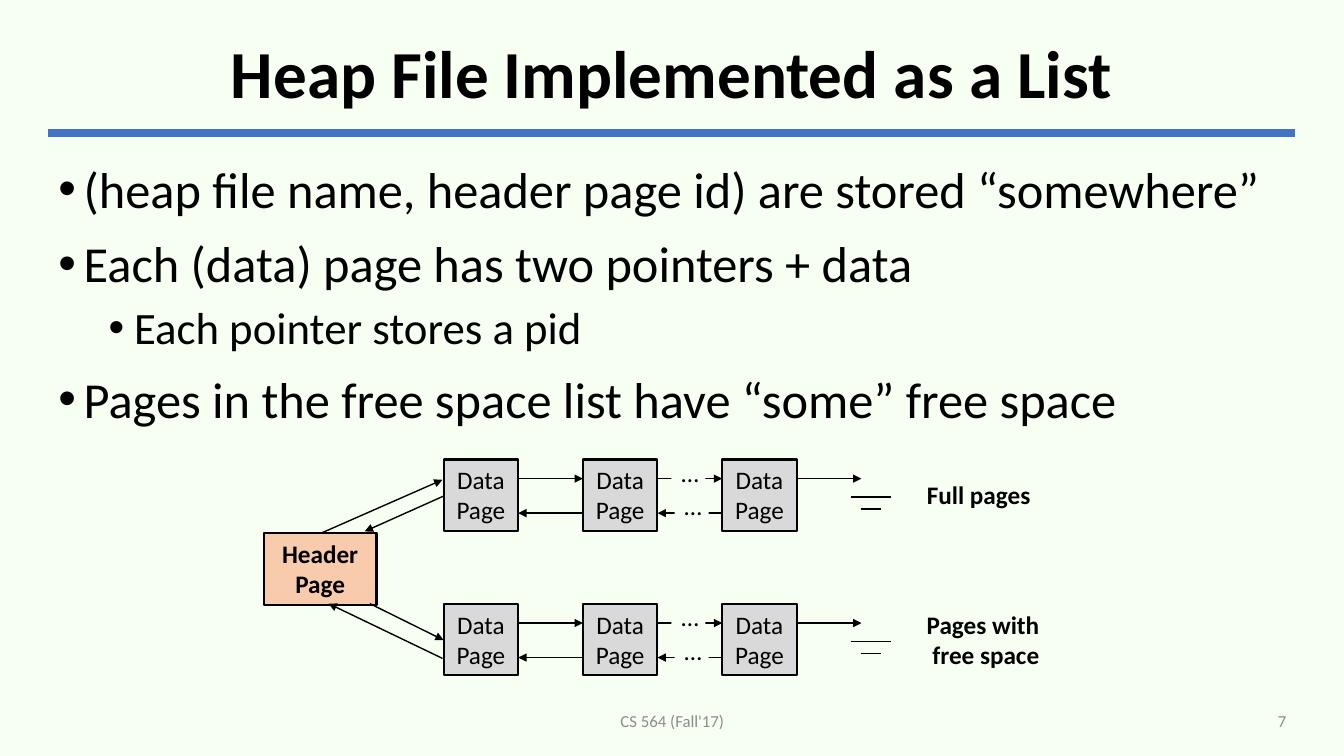
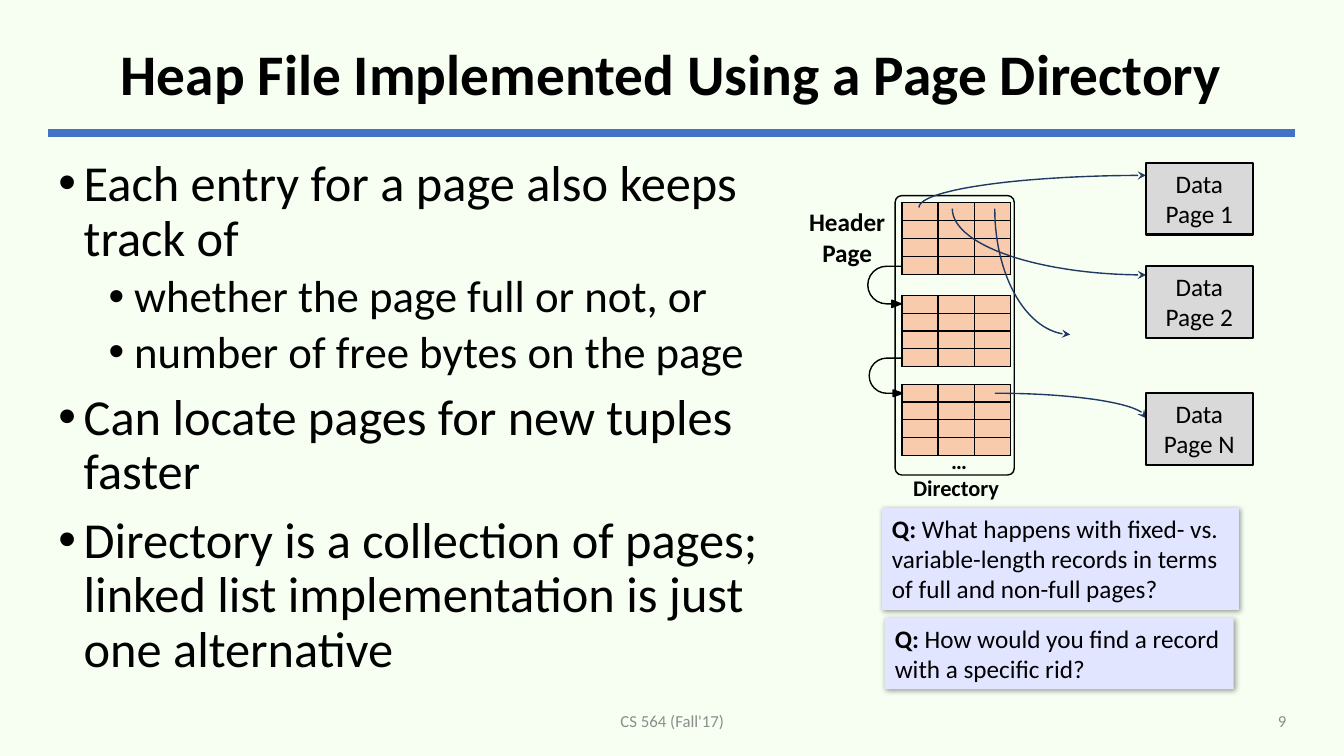
import math
from lxml import etree
from pptx import Presentation
from pptx import util as u
from pptx.dml import color
from pptx.enum import shapes, text
from pptx.oxml import ns

BLACK, PEACH, GRAY, LILAC = "000000", "F8CBAD", "D9D9D9", "E2E5FF"
PAPER, BLUE, NAVY, MUTED = "F7FFF3", "4472C4", "203864", "8C8C8C"
FONT = "Calibri"
KIND, ALIGN, ANCHOR = shapes.MSO_SHAPE, text.PP_ALIGN, text.MSO_ANCHOR
LEFT, MID, RIGHT = ALIGN.LEFT, ALIGN.CENTER, ALIGN.RIGHT
PAGE_W, PAGE_H = 1.88, 1.8


def rgb(code):
    """Turn a hex string into a colour."""
    return color.RGBColor.from_string(code)


def put(item, **vals):
    """Set each named value on an item."""
    for name, val in vals.items():
        setattr(item, name, val)


def sub(node, tag, **vals):
    """Append a drawing element to a node."""
    return etree.SubElement(node, ns.qn("a:" + tag), **vals)


def paint(shape, fill=None, line=None, width=1):
    """Give a shape its fill and outline, without a shadow."""
    shape.shadow.inherit = False
    for part, code in ((shape.fill, fill), (shape.line.fill, line)):
        if code:
            part.solid()
            part.fore_color.rgb = rgb(code)
        else:
            part.background()
    if line:
        shape.line.width = u.Pt(width)


def write(para, words, size=18, bold=False, ink=BLACK):
    """Add one run of styled words to a paragraph."""
    run = para.add_run()
    run.text = words
    put(run.font, name=FONT, size=u.Pt(size), bold=bold)
    run.font.color.rgb = rgb(ink)


def box(slide, area, lines=(), kind=None, fill=None, line=None, width=1.5,
        align=MID, anchor=ANCHOR.TOP, wrap=True, lead="", **style):
    """Place a text box or preset shape holding lines of text."""
    spot = [u.Cm(v) for v in area]
    if kind:
        shape = slide.shapes.add_shape(kind, *spot)
        paint(shape, fill, line, width)
    else:
        shape = slide.shapes.add_textbox(*spot)
    frame = shape.text_frame
    put(frame, word_wrap=wrap, vertical_anchor=anchor)
    for i, words in enumerate(lines):
        para = frame.add_paragraph() if i else frame.paragraphs[0]
        para.alignment = align
        if lead and not i:
            write(para, lead, bold=True)
        write(para, words, **style)
    return shape


def rule(slide, start, end, ink=BLACK, width=1, tip=True):
    """Draw a straight line, with an arrowhead if wanted."""
    ends = [u.Cm(v) for v in (*start, *end)]
    line = slide.shapes.add_connector(shapes.MSO_CONNECTOR.STRAIGHT, *ends)
    line.line.color.rgb = rgb(ink)
    line.line.width = u.Pt(width)
    sub(line._element.spPr, "effectLst")
    if tip:
        sub(line.line._get_or_add_ln(), "tailEnd", type="triangle")


def curve(slide, start, end, steep=True):
    """Draw a quarter ellipse with an arrowhead at its end."""
    dots = []
    for i in range(31):
        turn = math.pi / 2 * i / 30
        parts = 1 - math.cos(turn), math.sin(turn)
        shares = parts if steep else parts[::-1]
        dots.append([u.Cm(a + (b - a) * s) for a, b, s in zip(start, end, shares)])
    path_maker = slide.shapes.build_freeform(*dots[0])
    path_maker.add_line_segments(dots[1:], close=False)
    shape = path_maker.convert_to_shape()
    paint(shape, line=NAVY)
    sub(shape.line._get_or_add_ln(), "tailEnd", type="stealth")


def base(deck, title, size, number):
    """Add a slide with the shared title, rule and footer."""
    slide = deck.slides.add_slide(deck.slide_layouts[6])
    slide.background.fill.solid()
    slide.background.fill.fore_color.rgb = rgb(PAPER)
    rule(slide, (1.22, 3.35), (32.64, 3.35), BLUE, 6, tip=False)
    head = box(slide, (1.22, 0.61, 31.42, 2.64), [title], anchor=ANCHOR.MIDDLE,
               size=size, bold=True)
    head.text_frame.paragraphs[0].line_spacing = 0.9
    foot = dict(anchor=ANCHOR.MIDDLE, size=12, ink=MUTED)
    box(slide, (11.23, 17.65, 11.43, 1.02), ["CS 564 (Fall'17)"], **foot)
    box(slide, (23.93, 17.65, 8.74, 1.02), [number], align=RIGHT, **foot)
    return slide


def points(slide, area, items, space):
    """Place a bulleted list of (level, words) items."""
    frame = box(slide, area).text_frame
    for i, (level, words) in enumerate(items):
        para = frame.add_paragraph() if i else frame.paragraphs[0]
        props = para._p.get_or_add_pPr()
        put(para, level=level, line_spacing=space,
            space_before=u.Pt((5 if level else 10) if i else 0))
        props.set("marL", str(u.Cm(1.91 if level else 0.64)))
        props.set("indent", str(-u.Cm(0.64)))
        sub(props, "buFont", typeface="Arial")
        sub(props, "buChar", char="•")
        write(para, words, 32 if level else 36)


def card(slide, area, lines, fill=GRAY, **style):
    """Draw one outlined page."""
    box(slide, area, lines, KIND.RECTANGLE, fill, BLACK, **style)


def chain(slide, x, y, label, spot, align):
    """Draw a linked row of data pages, its end mark and its label."""
    step = 3.51
    for i in range(3):
        left = x + i * step
        card(slide, (left, y, PAGE_W, PAGE_H), ["Data", "Page"])
        reach = 1.63 if i == 2 else step - PAGE_W
        rule(slide, (left + PAGE_W, y + 0.48), (left + PAGE_W + reach, y + 0.48))
        if i < 2:
            rule(slide, (left + step, y + 1.35), (left + PAGE_W, y + 1.35))
    for inset, drop in ((0, 0.94), (0.25, 1.25)):
        rule(slide, (x + 10.26 + inset, y + drop), (x + 11.27 - inset, y + drop), tip=False)
    for dx, dy in ((5.74, -0.18), (5.82, 0.66)):
        box(slide, (x + dx, y + dy, 0.86, 1.02), ["…"], KIND.RECTANGLE, PAPER, align=LEFT)
    dx, dy, w, h = spot
    box(slide, (x + dx, y + dy, w, h), label, wrap=False, align=align, bold=True)


def heap(slide, x, y):
    """Draw the header page with its two lists."""
    card(slide, (x, y + 1.86, 2.84, PAGE_H), ["Header", "Page"], PEACH, bold=True)
    chain(slide, x + 4.53, y, ["Full pages"], (11.93, 0.38, 3.43, 1.02), LEFT)
    chain(slide, x + 4.53, y + 3.64, ["Pages with ", "free space"],
          (11.76, 0, 3.81, 1.8), MID)
    for ax, ay, bx, by in ((4.53, 0.92, 2.54, 1.81), (1.43, 1.86, 4.5, 0.51),
                           (4.5, 5.01, 1.63, 3.63), (2.67, 3.63, 4.53, 4.55)):
        rule(slide, (x + ax, y + ay), (x + bx, y + by))


def grid(slide, x, y):
    """Add one directory page as an empty table."""
    rows, cols, tall, wide = 4, 3, 0.45, 0.91
    spot = [u.Cm(v) for v in (x, y, cols * wide, rows * tall)]
    table = slide.shapes.add_table(rows, cols, *spot).table
    put(table, first_row=False, horz_banding=False)
    for row in table.rows:
        row.height = u.Cm(tall)
    for col in table.columns:
        col.width = u.Cm(wide)
    for cell in table.iter_cells():
        put(cell, margin_left=0, margin_right=0, margin_top=0, margin_bottom=0)
        sub(cell.text_frame.paragraphs[0]._p, "endParaRPr", sz="400")
        props = cell._tc.get_or_add_tcPr()
        for side in "LRTB":
            edge = sub(props, "ln" + side, w=str(u.Pt(1)))
            sub(sub(edge, "solidFill"), "srgbClr", val=BLACK)
        cell.fill.solid()
        cell.fill.fore_color.rgb = rgb(PEACH)


def turn(slide, area, bend):
    """Draw a U-turn arrow that leads to the next directory page."""
    shape = box(slide, area, kind=KIND.U_TURN_ARROW, fill=BLACK, line=BLACK, width=1)
    for i, val in enumerate((0, bend, 0.279, 0.718, 1)):
        shape.adjustments[i] = val
    shape.rotation = 270
    shape._element.spPr.get_or_add_xfrm().set("flipH", "1")


def index(slide, x, y):
    """Draw the page directory and the data pages it points to."""
    frame = box(slide, (x, y, 3, 7.04), kind=KIND.ROUNDED_RECTANGLE, line=BLACK, width=1)
    frame.adjustments[0] = 0.055
    for dy in (0.18, 2.51, 4.75):
        grid(slide, x + 0.17, y + dy)
    bold = dict(anchor=ANCHOR.MIDDLE, bold=True)
    box(slide, (x - 2.52, y + 0.15, 2.62, 1.78), ["Header", "Page"], wrap=False, **bold)
    box(slide, (x + 0.05, y + 6.88, 2.97, 0.94), ["Directory"], wrap=False, size=16, **bold)
    box(slide, (x + 0.71, y + 6.2, 1.8, 0.94), ["…"], size=16, **bold)
    for ax, ay, bx, by, steep in ((0.6, 0.3, 6.32, -0.51, True),
                                  (1.44, 0.33, 6.32, 2, True),
                                  (2.51, 0.33, 4.41, 3.5, True),
                                  (2.51, 4.98, 6.32, 5.61, False)):
        curve(slide, (x + ax, y + ay), (x + bx, y + by), steep)
    for name, dy in (("1", -0.82), ("2", 1.78), ("N", 4.98)):
        card(slide, (x + 6.32, y + dy, 2.69, PAGE_H), ["Data", "Page " + name])
    turn(slide, (x - 0.79, y + 1.88, 1.04, 0.84), 0.11)
    turn(slide, (x - 0.72, y + 4.16, 0.97, 0.84), 0.1)


def ask(slide, area, words):
    """Place a shaded question box."""
    shape = box(slide, area, [words], KIND.RECTANGLE, LILAC, align=LEFT, lead="Q: ")
    glow = sub(shape._element.spPr.find(ns.qn("a:effectLst")), "outerShdw",
               blurRad=str(u.Pt(4)), dist=str(u.Pt(1)), dir="2700000", algn="tl")
    sub(sub(glow, "srgbClr", val=BLACK), "alpha", val="40000")


def main():
    """Build both slides and save them."""
    deck = Presentation()
    put(deck, slide_width=u.Cm(33.87), slide_height=u.Cm(19.05))

    slide = base(deck, "Heap File Implemented as a List", 48, "7")
    points(slide, (1.22, 3.86, 31.42, 13.79), [
        (0, "(heap file name, header page id) are stored “somewhere”"),
        (0, "Each (data) page has two pointers + data"),
        (1, "Each pointer stores a pid"),
        (0, "Pages in the free space list have “some” free space")], 1.0)
    heap(slide, 6.65, 11.58)

    slide = base(deck, "Heap File Implemented Using a Page Directory", 41, "9")
    points(slide, (1.22, 3.86, 18.85, 13.79), [
        (0, "Each entry for a page also keeps track of"),
        (1, "whether the page full or not, or"),
        (1, "number of free bytes on the page"),
        (0, "Can locate pages for new tuples faster"),
        (0, "Directory is a collection of pages; linked list implementation"
            " is just one alternative")], 0.9)
    index(slide, 22.56, 4.93)
    ask(slide, (22.23, 12.8, 8.99, 2.57), "What happens with fixed- vs. variable-length"
        " records in terms of full and non-full pages?")
    ask(slide, (22.3, 15.57, 8.79, 1.8), "How would you find a record with a specific rid?")
    deck.save("out.pptx")


if __name__ == "__main__":
    main()
